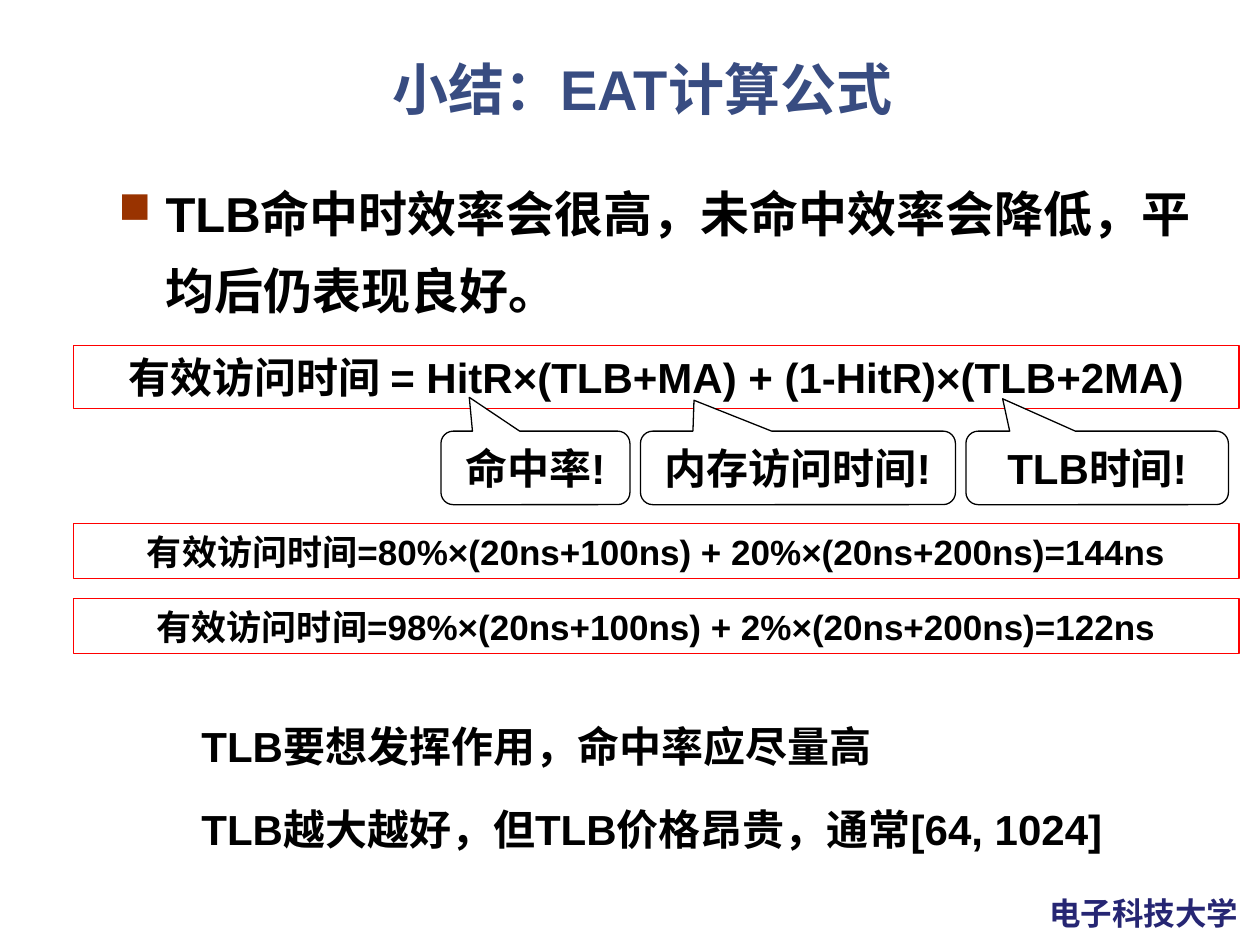
from dataclasses import dataclass

from lxml.etree import SubElement
from pptx import Presentation
from pptx.dml.color import RGBColor
from pptx.enum.shapes import MSO_SHAPE as Preset
from pptx.enum.text import MSO_ANCHOR as Anchor, PP_ALIGN as Align
from pptx.oxml.ns import qn
from pptx.util import Pt

COLOURS = {
    "background": "FFFFFF",
    "title": "384C81",
    "text": "000000",
    "bullet": "993300",
    "formula": "FF0000",
    "callout": "000000",
    "university": "262673",
}
FONT = "Arial"
LINE_WIDTH = 0.75
CALLOUT_TOP, CALLOUT_HEIGHT = 246.4, 42
FORMULA_LEFT, FORMULA_WIDTH = 42, 666


@dataclass
class Formula:
    top: float
    height: float
    size: float
    text: str


@dataclass
class Callout:
    left: float
    width: float
    tip_x: float
    tip_y: float
    text: str


@dataclass
class Label:
    left: float
    top: float
    width: float
    height: float
    text: str
    size: float
    colour: str = "text"
    align: Align = Align.LEFT
    anchor: Anchor = Anchor.TOP
    line_spacing: float = 1.0
    indent: float = 0
    bullet: str = ""
    wrap: bool = True


FORMULAS = [
    Formula(197.3, 36.4, 24, "有效访问时间 = HitR×(TLB+MA) + (1-HitR)×(TLB+2MA)"),
    Formula(299.2, 31.5, 20, "有效访问时间=80%×(20ns+100ns) + 20%×(20ns+200ns)=144ns"),
    Formula(342, 31.5, 20, "有效访问时间=98%×(20ns+100ns) + 2%×(20ns+200ns)=122ns"),
]
CALLOUTS = [
    Callout(252, 108, -0.35, -0.96, "命中率!"),
    Callout(366, 180, -0.33, -0.92, "内存访问时间!"),
    Callout(552, 150, -0.36, -0.94, "TLB时间!"),
]
LABELS = [
    Label(592.5, 507.6, 124.6, 28.8, "电子科技大学", 18, "university", wrap=False),
    Label(56, 31, 622, 43, "小结：EAT计算公式", 32, "title", Align.CENTER,
          Anchor.MIDDLE, line_spacing=0.9),
    Label(60.5, 91.5, 636, 68.5, "TLB命中时效率会很高，未命中效率会降低，平均后仍表现良好。", 28,
          line_spacing=1.3, indent=27, bullet="■"),
    Label(72, 396.7, 582.5, 47.5, "TLB要想发挥作用，命中率应尽量高", 24,
          line_spacing=1.4, indent=36),
    Label(72, 444.2, 582.5, 47.5, "TLB越大越好，但TLB价格昂贵，通常[64, 1024]", 24,
          line_spacing=1.4, indent=36),
]


def colour(name: str) -> RGBColor:
    return RGBColor.from_string(COLOURS[name])


def write_text(shape, text: str, size: float, colour_name: str = "text",
               align: Align = Align.CENTER, anchor: Anchor = Anchor.MIDDLE):
    frame = shape.text_frame
    frame.word_wrap = True
    frame.vertical_anchor = anchor
    paragraph = frame.paragraphs[0]
    paragraph.text = text
    paragraph.alignment = align
    return paragraph


def style_font(paragraph, size: float, colour_name: str = "text") -> None:
    font = paragraph.font
    font.name, font.size, font.bold = FONT, Pt(size), True
    font.color.rgb = colour(colour_name)


def add_bullet(properties, character: str) -> None:
    bullet_colour = SubElement(properties, qn("a:buClr"))
    SubElement(bullet_colour, qn("a:srgbClr"), val=COLOURS["bullet"])
    SubElement(properties, qn("a:buSzPct"), val="90000")
    SubElement(properties, qn("a:buChar"), char=character)


def add_label(slide, label: Label) -> None:
    box = slide.shapes.add_textbox(Pt(label.left), Pt(label.top), Pt(label.width), Pt(label.height))
    paragraph = write_text(box, label.text, label.size, label.colour, label.align, label.anchor)
    box.text_frame.word_wrap = label.wrap
    paragraph.line_spacing = label.line_spacing
    properties = paragraph._p.get_or_add_pPr()
    if label.indent:
        properties.set("marL", str(Pt(label.indent)))
    if label.bullet:
        properties.set("indent", str(-Pt(label.indent)))
        add_bullet(properties, label.bullet)
    style_font(paragraph, label.size, label.colour)


def add_outlined_shape(slide, preset: Preset, left: float, top: float, width: float,
                       height: float, line: str, text: str, size: float):
    shape = slide.shapes.add_shape(preset, Pt(left), Pt(top), Pt(width), Pt(height))
    shape.shadow.inherit = False
    shape.fill.background()
    shape.line.color.rgb = colour(line)
    shape.line.width = Pt(LINE_WIDTH)
    style_font(write_text(shape, text, size), size)
    return shape


def add_formula(slide, formula: Formula) -> None:
    add_outlined_shape(slide, Preset.RECTANGLE, FORMULA_LEFT, formula.top, FORMULA_WIDTH,
                       formula.height, "formula", formula.text, formula.size)


def add_callout(slide, callout: Callout) -> None:
    """Add a callout whose tip is offset from its centre in shares of its size."""
    shape = add_outlined_shape(slide, Preset.ROUNDED_RECTANGULAR_CALLOUT, callout.left, CALLOUT_TOP,
                               callout.width, CALLOUT_HEIGHT, "callout", callout.text, 24)
    shape.fill.solid()
    shape.fill.fore_color.rgb = colour("background")
    shape.adjustments[0] = callout.tip_x
    shape.adjustments[1] = callout.tip_y


def main() -> None:
    presentation = Presentation()
    presentation.slide_width, presentation.slide_height = Pt(720), Pt(540)
    slide = presentation.slides.add_slide(presentation.slide_layouts[6])
    slide.background.fill.solid()
    slide.background.fill.fore_color.rgb = colour("background")
    for label in LABELS:
        add_label(slide, label)
    for formula in FORMULAS:
        add_formula(slide, formula)
    for callout in CALLOUTS:
        add_callout(slide, callout)
    presentation.save("out.pptx")


if __name__ == "__main__":
    main()
